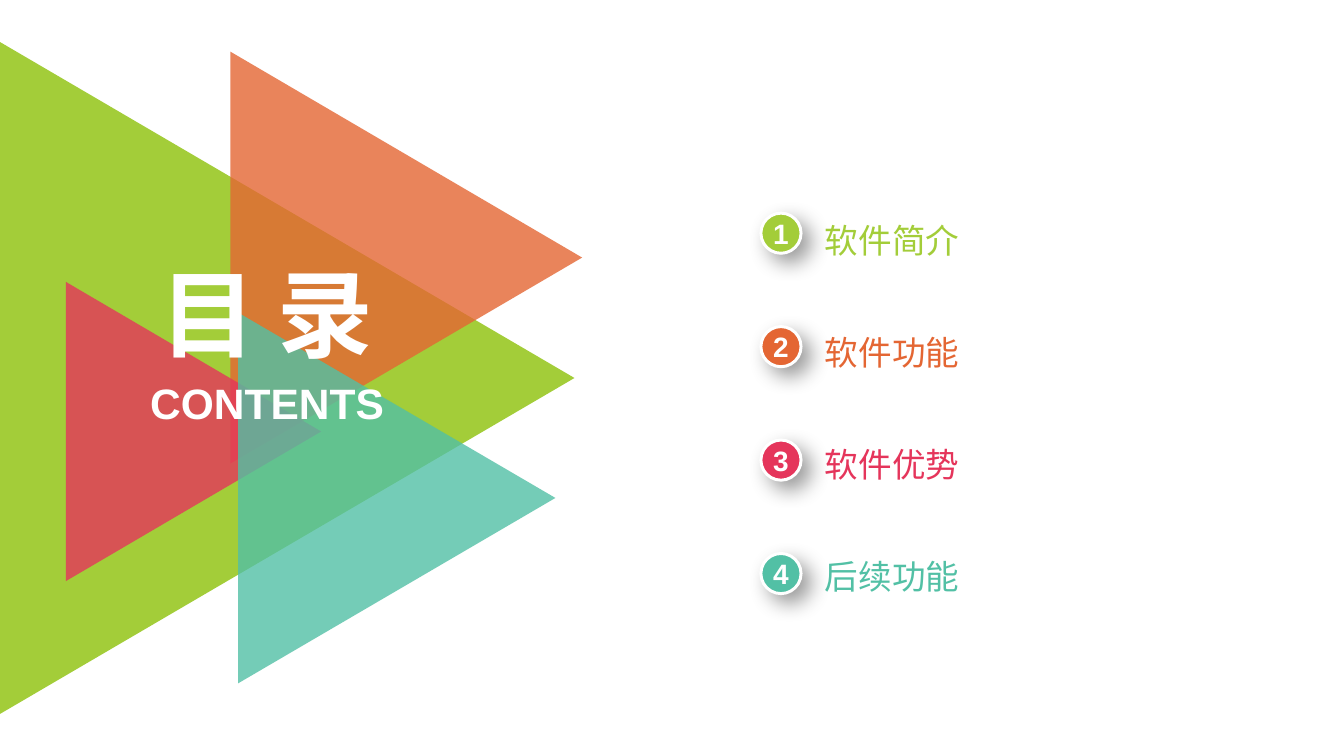
from lxml.etree import SubElement
from pptx import Presentation
from pptx.dml.color import RGBColor
from pptx.enum.shapes import MSO_SHAPE
from pptx.enum.text import MSO_ANCHOR, MSO_AUTO_SIZE, PP_ALIGN
from pptx.oxml import parse_xml
from pptx.oxml.ns import nsdecls, qn
from pptx.util import Inches, Pt

GREEN, ORANGE, RED, TEAL, WHITE = "A3CD39", "E46633", "E5355B", "52C0A5", "FFFFFF"
SHADOW = f"""<a:effectLst {nsdecls("a")}>
  <a:outerShdw blurRad="203200" dist="114300" dir="2700000" algn="tl" rotWithShape="0">
    <a:srgbClr val="000000"><a:alpha val="40000"/></a:srgbClr>
  </a:outerShdw>
</a:effectLst>"""


def paint(part, color):
    if hasattr(part, "solid"):
        part.solid()
        part.fore_color.rgb = RGBColor.from_string(color)
    else:
        part.color.rgb = RGBColor.from_string(color)


def style(shape, size, colors, bold=True, align=PP_ALIGN.CENTER, anchor=MSO_ANCHOR.MIDDLE):
    frame = shape.text_frame
    frame.word_wrap = True
    frame.auto_size = MSO_AUTO_SIZE.NONE
    frame.vertical_anchor = anchor
    frame.margin_left = frame.margin_right = frame.margin_top = frame.margin_bottom = 0
    for para, color in zip(frame.paragraphs, colors):
        para.alignment = align
        para.space_before = Pt(0)
        para.font.name = "Arial"
        para.font.size = Pt(size)
        para.font.bold = bold
        paint(para.font, color)


deck = Presentation()
deck.slide_width, deck.slide_height = Inches(14.06), Inches(7.91)
slide = deck.slides.add_slide(deck.slide_layouts[2])
shapes = slide.shapes
title, body = slide.placeholders

arrows = [
    (0, 0.44, 6.01, 7.03, GREEN, 100),
    (2.41, 0.54, 3.68, 4.31, ORANGE, 80),
    (0.69, 2.95, 2.67, 3.13, RED, 80),
    (2.49, 3.27, 3.32, 3.88, TEAL, 80),
]
for left, top, width, height, color, alpha in arrows:
    pen = shapes.build_freeform(Inches(left), Inches(top))
    tip = (Inches(left + width), Inches(top + height / 2))
    pen.add_line_segments([tip, (Inches(left), Inches(top + height))])
    arrow = pen.convert_to_shape()
    arrow.shadow.inherit = False
    arrow.line.fill.background()
    paint(arrow.fill, color)
    if alpha < 100:
        tint = arrow.fill._xPr.find(".//" + qn("a:srgbClr"))
        SubElement(tint, qn("a:alpha")).set("val", str(alpha * 1000))

topics = {"软件简介": GREEN, "软件功能": ORANGE, "软件优势": RED, "后续功能": TEAL}
for index, color in enumerate(topics.values()):
    top = Inches(2.23 + 1.187 * index)
    badge = shapes.add_shape(MSO_SHAPE.OVAL, Inches(7.96), top, Inches(0.42), Inches(0.42))
    paint(badge.fill, color)
    paint(badge.line, WHITE)
    badge.line.width = Pt(2.25)
    badge._element.spPr.append(parse_xml(SHADOW))
    badge.text_frame.text = str(index + 1)
    style(badge, 21.1, [WHITE])

body.left, body.top = Inches(8.63), Inches(2.29)
body.width, body.height = Inches(2.46), Inches(3.95)
body.text_frame.text = "\n".join(topics)
style(body, 25.3, topics.values(), False, PP_ALIGN.LEFT, MSO_ANCHOR.TOP)
for para in body.text_frame.paragraphs:
    para.line_spacing = Pt(31)
    para.space_after = Pt(53.3)

title.left, title.top = Inches(1.36), Inches(2.66)
title.width, title.height = Inches(2.87), Inches(1.21)
title.text_frame.text = "目 录"
style(title, 72, [WHITE])
shapes.element.append(title.element)

label = shapes.add_textbox(Inches(1.52), Inches(3.95), Inches(2.55), Inches(0.54))
label.text_frame.text = "CONTENTS"
style(label, 32, [WHITE], anchor=MSO_ANCHOR.TOP)

deck.save("out.pptx")
